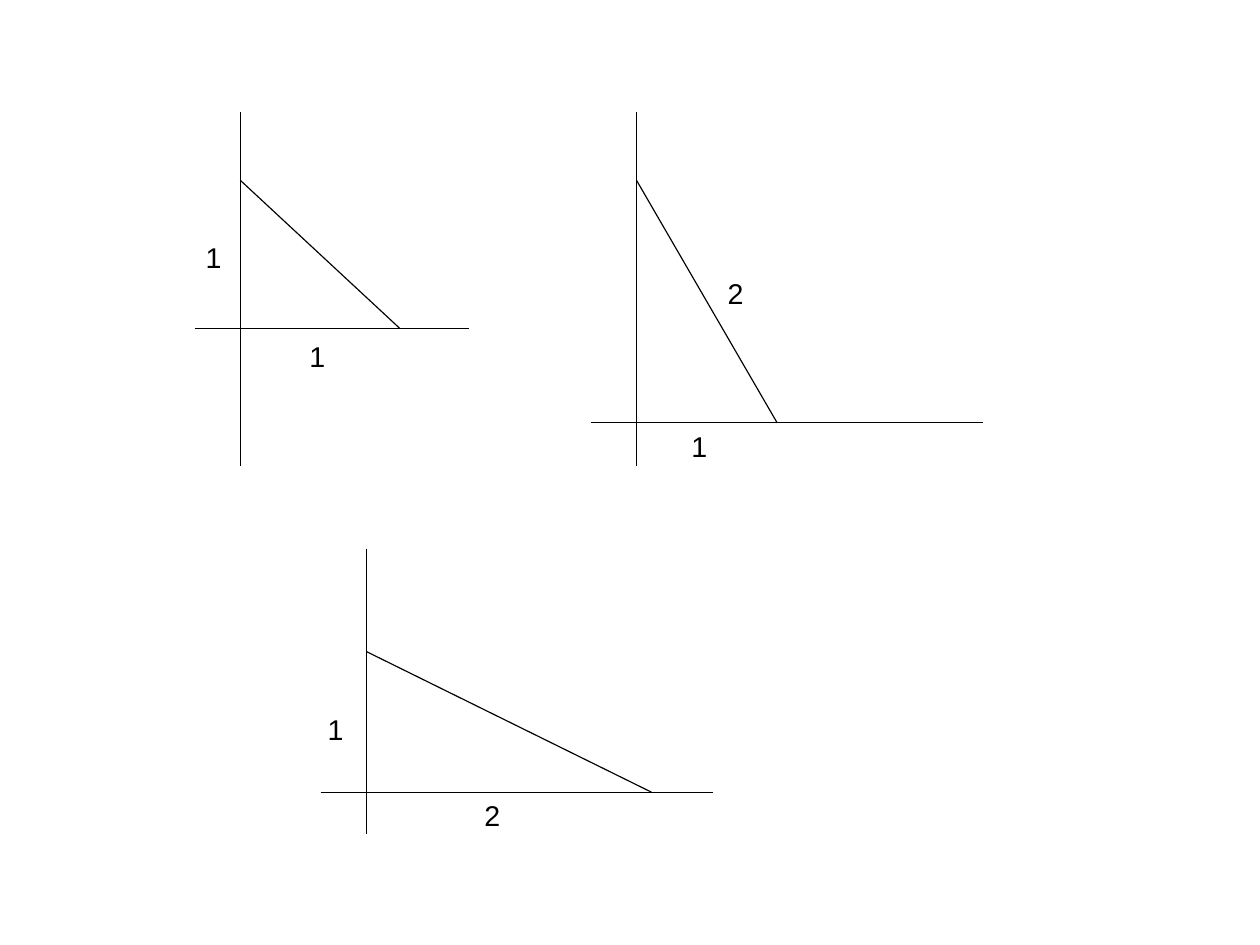
from collections import namedtuple

from pptx import Presentation
from pptx.dml.color import RGBColor
from pptx.enum.shapes import MSO_CONNECTOR as Connector
from pptx.enum.text import MSO_ANCHOR as Anchor
from pptx.oxml.ns import qn
from pptx.util import Pt
from lxml.etree import SubElement

Triangle = namedtuple("Triangle", "origin right top bottom apex foot labels")

INK = "000000"
OVERHANG = 28.8
SLIDE_SIZE = {"slide_width": Pt(793.75), "slide_height": Pt(595.25)}
LABEL_SIZE = (24.5, 27.4)
LABEL_FONT = {"name": "Arial", "size": Pt(18)}
LABEL_FRAME = {
    "word_wrap": False,
    "vertical_anchor": Anchor.TOP,
    "margin_left": Pt(7.2),
    "margin_right": Pt(7.2),
    "margin_top": Pt(3.6),
    "margin_bottom": Pt(3.6),
}
TRIANGLES = [
    Triangle((151.4, 207), 295.2, 70.5, 293.6, 113.6, 252,
             [("1", 122.5, 149.4), ("1", 187.9, 211.6)]),
    Triangle((401, 266.4), 619.2, 70.5, 293.6, 113.6, 489.6,
             [("1", 428.5, 268.6), ("2", 451.4, 172.1)]),
    Triangle((230.8, 499), 449.3, 345.6, 525.6, 410.4, 410.4,
             [("1", 199.4, 446.8), ("2", 298.1, 500.9)]),
]


def color(value):
    """Return the colour for a hex string."""
    return RGBColor.from_string(value)


def set_all(target, values):
    """Set every attribute in values on the target."""
    for key, value in values.items():
        setattr(target, key, value)


def draw_line(slide, start, end):
    """Draw a thin straight line between two points."""
    line = slide.shapes.add_connector(
        Connector.STRAIGHT, *(Pt(length) for length in (*start, *end)))
    line.line.width = Pt(0.75)
    line.line.color.rgb = color(INK)
    SubElement(line._element.spPr, qn("a:effectLst"))


def draw_label(slide, text, left, top):
    """Write the length of one side."""
    label = slide.shapes.add_textbox(
        *(Pt(length) for length in (left, top, *LABEL_SIZE)))
    set_all(label.text_frame, LABEL_FRAME)
    paragraph = label.text_frame.paragraphs[0]
    paragraph.line_spacing = 0.93
    side = paragraph.add_run()
    side.text = text
    set_all(side.font, LABEL_FONT)
    side.font.color.rgb = color(INK)


def draw_triangle(slide, triangle):
    """Draw both axes, the hypotenuse and the side lengths."""
    x, y = triangle.origin
    draw_line(slide, (x - OVERHANG, y), (triangle.right, y))
    draw_line(slide, (x, triangle.top), (x, triangle.bottom))
    draw_line(slide, (x, triangle.apex), (triangle.foot, y))
    for label in triangle.labels:
        draw_label(slide, *label)


def main():
    """Build the slide with three right triangles."""
    deck = Presentation()
    set_all(deck, SLIDE_SIZE)
    slide = deck.slides.add_slide(deck.slide_layouts[6])
    for triangle in TRIANGLES:
        draw_triangle(slide, triangle)
    deck.save("out.pptx")


if __name__ == "__main__":
    main()
